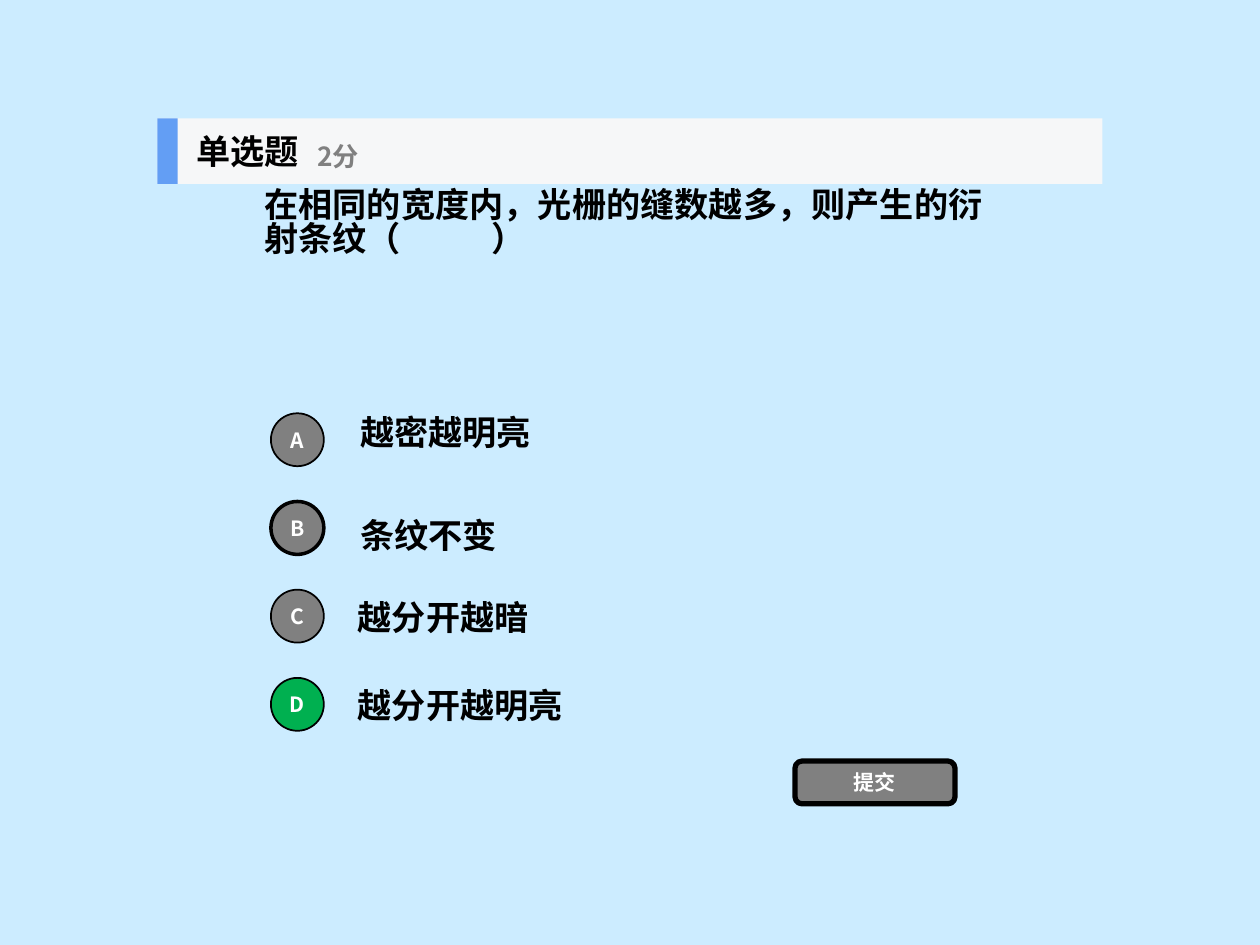
"""Build a single-choice quiz slide about diffraction gratings."""
import pptx
import pptx.dml.color
import pptx.enum.shapes
import pptx.enum.text
import pptx.oxml.ns
import pptx.util
from lxml import etree

Inches = pptx.util.Inches
Pt = pptx.util.Pt
RGBColor = pptx.dml.color.RGBColor
MSO_SHAPE = pptx.enum.shapes.MSO_SHAPE
MSO_ANCHOR = pptx.enum.text.MSO_ANCHOR
PP_ALIGN = pptx.enum.text.PP_ALIGN
qn = pptx.oxml.ns.qn

FONT = "Noto Sans CJK SC"
SKY = RGBColor(0xCC, 0xEC, 0xFF)
BLACK = RGBColor(0, 0, 0)
WHITE = RGBColor(0xFF, 0xFF, 0xFF)
GRAY = RGBColor(0x80, 0x80, 0x80)
GREEN = RGBColor(0, 0xB0, 0x50)
BAR = RGBColor(0xF6, 0xF7, 0xF8)
BLUE = RGBColor(0x63, 0x9E, 0xF4)

BODY_SIZE = 19.5
CIRCLE_TOP, CIRCLE_STEP = 3.28, 0.7
OPTIONS = [
    ("A", "越密越明亮", (2.76, 3.23, 5.24, 0.39), GRAY, 1),
    ("B", "条纹不变", (2.76, 3.98, 5.24, 0.53), GRAY, 2),
    ("C", "越分开越暗", (2.74, 4.63, 5.24, 0.53), GRAY, 1),
    ("D", "越分开越明亮", (2.74, 5.33, 5.24, 0.53), GREEN, 1),
]


def add_run(p, text, size, color):
    r = p.add_run()
    r.text = text
    r.font.size = Pt(size)
    r.font.bold = True
    r.font.name = FONT
    r.font.color.rgb = color
    etree.SubElement(r.font._element, qn("a:ea")).set("typeface", FONT)


def add_text(shapes, box, text, size=BODY_SIZE, color=BLACK,
             anchor=MSO_ANCHOR.MIDDLE):
    sp = shapes.add_textbox(*map(Inches, box))
    tf = sp.text_frame
    tf.word_wrap = True
    tf.vertical_anchor = anchor
    p = tf.paragraphs[0]
    add_run(p, text, size, color)
    return p


def add_block(shapes, kind, box, fill, line_width=0, label=""):
    sp = shapes.add_shape(kind, *map(Inches, box))
    sp.shadow.inherit = False
    sp.fill.solid()
    sp.fill.fore_color.rgb = fill
    if line_width:
        sp.line.color.rgb = BLACK
        sp.line.width = Pt(line_width)
    else:
        sp.line.fill.background()
    if label:
        tf = sp.text_frame
        tf.margin_left = tf.margin_right = 0
        tf.margin_top = tf.margin_bottom = 0
        tf.vertical_anchor = MSO_ANCHOR.MIDDLE
        p = tf.paragraphs[0]
        p.alignment = PP_ALIGN.CENTER
        add_run(p, label, 12, WHITE)


def add_header(s):
    shapes = s.shapes.add_group_shape().shapes
    add_block(shapes, MSO_SHAPE.RECTANGLE, (1.25, 0.94, 7.5, 0.52), BAR)
    add_block(shapes, MSO_SHAPE.RECTANGLE, (1.25, 0.94, 0.16, 0.52), BLUE)
    add_text(shapes, (1.46, 0.94, 1.56, 0.52), "单选题")
    add_text(shapes, (2.42, 1.03, 1.88, 0.42), "2分", 15, GRAY)


def add_question(s):
    p = add_text(s.shapes, (2, 1.46, 6, 1.07),
                 "在相同的宽度内，光栅的缝数越多，则产生的衍射条纹（\t）",
                 anchor=MSO_ANCHOR.TOP)
    p.line_spacing = 0.83
    tabs = etree.SubElement(p._p.get_or_add_pPr(), qn("a:tabLst"))
    etree.SubElement(tabs, qn("a:tab"), pos=str(Inches(1.8)), algn="l")


def add_options(s):
    for i, (letter, answer, box, fill, width) in enumerate(OPTIONS):
        add_text(s.shapes, box, answer)
        circle = (2.15, CIRCLE_TOP + i * CIRCLE_STEP, 0.42, 0.42)
        add_block(s.shapes, MSO_SHAPE.OVAL, circle, fill, width, letter)


def main():
    prs = pptx.Presentation()
    prs.slide_width, prs.slide_height = Inches(10), Inches(7.5)
    s = prs.slides.add_slide(prs.slide_layouts[6])
    s.background.fill.solid()
    s.background.fill.fore_color.rgb = SKY
    add_question(s)
    add_options(s)
    add_block(s.shapes, MSO_SHAPE.ROUNDED_RECTANGLE, (6.31, 6.04, 1.27, 0.34),
              GRAY, 3, "提交")
    add_header(s)
    prs.save("out.pptx")


if __name__ == "__main__":
    main()
